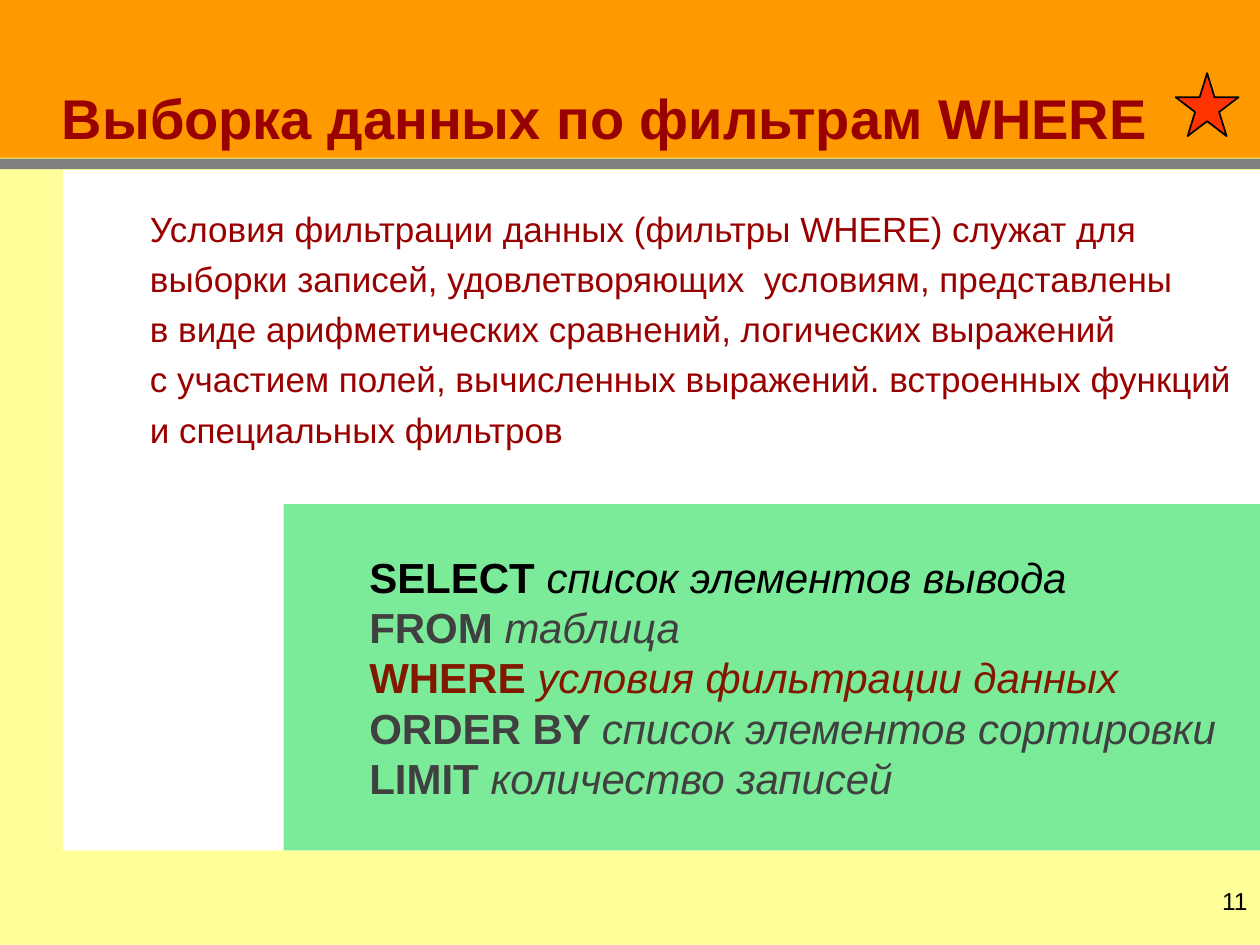
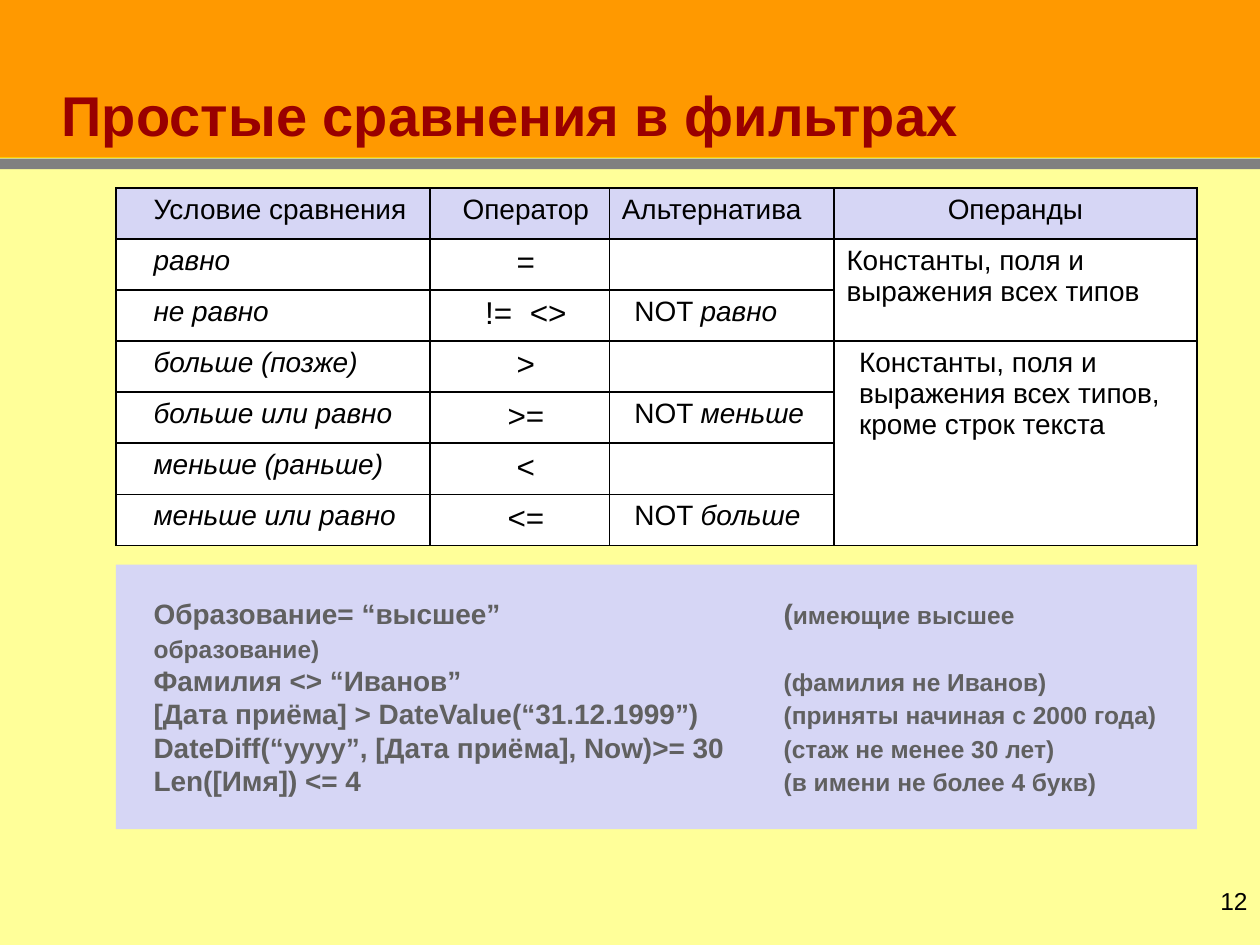
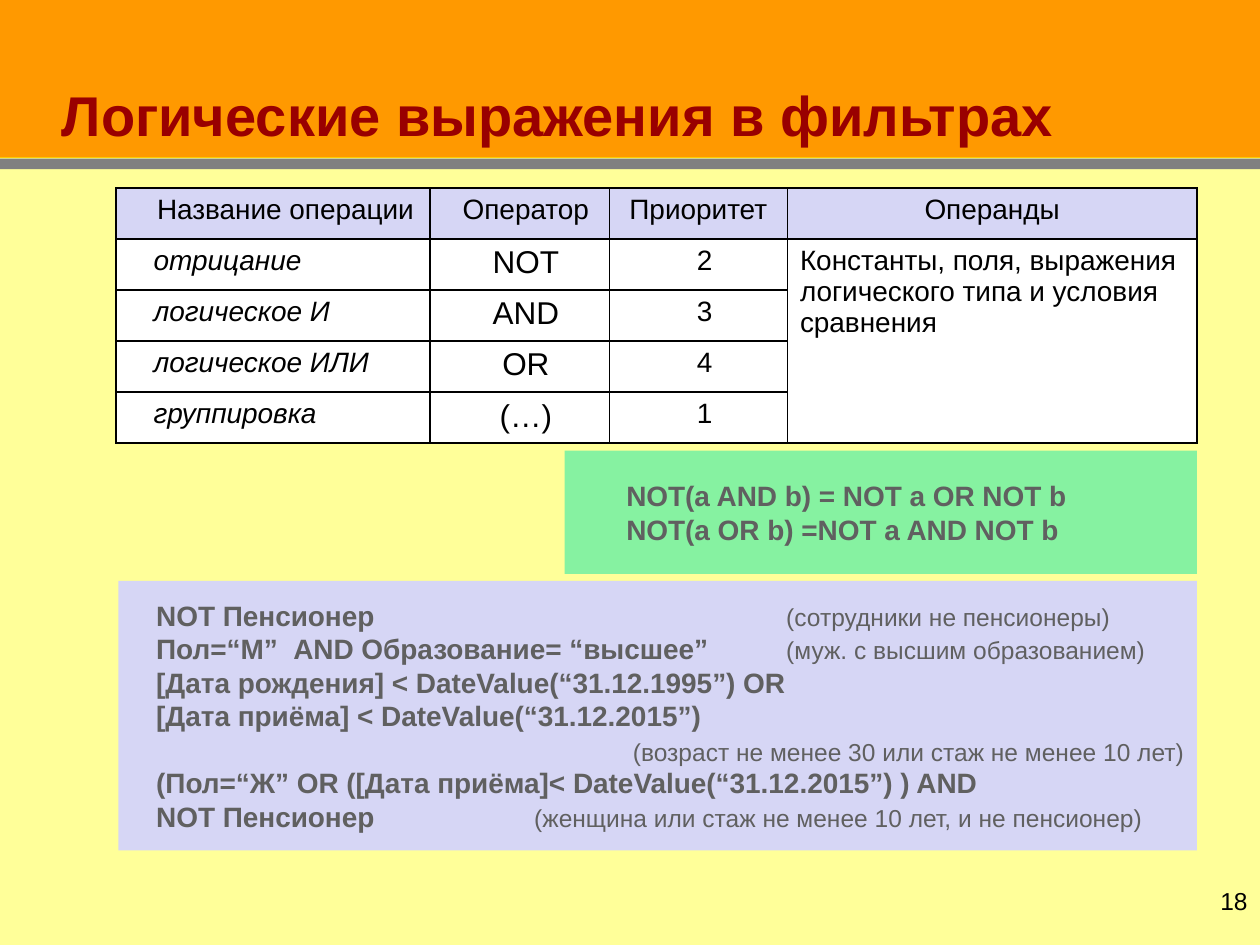
"""Build three slides about SQL filters."""
from dataclasses import dataclass

from lxml.etree import SubElement
from pptx import Presentation
from pptx.dml.color import RGBColor
from pptx.enum.shapes import MSO_CONNECTOR, MSO_SHAPE
from pptx.enum.text import MSO_ANCHOR, MSO_AUTO_SIZE, PP_ALIGN
from pptx.oxml.ns import qn
from pptx.util import Pt


@dataclass(frozen=True)
class Theme:
    """Colours, font and type sizes, in points, shared by the slides."""

    font: str = "Arial"
    backdrop: str = "B2B2B2"
    header: str = "FF9900"
    page: str = "FFFF99"
    rule: str = "808080"
    hairline: str = "FFCC00"
    accent: str = "990000"
    black: str = "000000"
    white: str = "FFFFFF"
    lavender: str = "D6D6F5"
    green: str = "7CEB99"
    light_green: str = "86F2A1"
    star: str = "FF3300"
    clause: str = "404040"
    active_clause: str = "801900"
    example: str = "606060"
    title_size: int = 32
    code_size: int = 24
    body_size: int = 20
    operator_size: int = 18
    text_size: int = 16
    note_size: int = 14
    wide_leading: float = 28.7
    example_leading: float = 19.15


THEME = Theme()
SLIDE_WIDTH, SLIDE_HEIGHT = 720, 540
HEADER_HEIGHT = 90
TABLE_LEFT, TABLE_TOP, ROW_HEIGHT = 66.2, 107.3, 29.2
INSET = 7.2
INDENT = 14.4
NOTE_TAB = 360
BOLD = {"bold": True}
PLAIN = {"bold": False}
ITALIC = {"italic": True}
NOTE = {"size": Pt(THEME.note_size)}
PLAIN_NOTE = {**NOTE, **PLAIN}


def colour(value):
    """Turn a hexadecimal string into a colour."""
    return RGBColor.from_string(value)


def write_paragraph(paragraph, runs, size, text_colour, bold=None, italic=None,
                    alignment=PP_ALIGN.LEFT, leading=None, tab=None):
    """Fill a paragraph with (text, style) runs and set its common font."""
    if tab:
        tab_list = SubElement(paragraph._p.get_or_add_pPr(), qn("a:tabLst"))
        SubElement(tab_list, qn("a:tab"), pos=str(Pt(tab)), algn="l")
    paragraph.alignment = alignment
    paragraph.line_spacing = leading
    font = paragraph.font
    font.name, font.size, font.bold, font.italic = THEME.font, Pt(size), bold, italic
    font.color.rgb = colour(text_colour)
    for text, style in runs:
        for index, line in enumerate(text.split("\n")):
            if index:
                paragraph.add_line_break()
            run = paragraph.add_run()
            run.text = line
            for name, value in style.items():
                setattr(run.font, name, value)


def next_paragraph(frame, index):
    """Return the first paragraph of a frame, or a new one after it."""
    return frame.add_paragraph() if index else frame.paragraphs[0]


def add_block(slide, left, top, width, height, fill, kind=MSO_SHAPE.RECTANGLE):
    """Add a filled shape with neither line nor shadow."""
    shape = slide.shapes.add_shape(kind, Pt(left), Pt(top), Pt(width), Pt(height))
    shape.shadow.inherit = False
    shape.fill.solid()
    shape.fill.fore_color.rgb = colour(fill)
    shape.line.fill.background()
    return shape


def add_panel(slide, box, fill, indent, anchor=MSO_ANCHOR.MIDDLE):
    """Add a block ready for indented text and return its text frame."""
    frame = add_block(slide, *box, fill).text_frame
    frame.word_wrap = True
    frame.vertical_anchor = anchor
    frame.margin_left = Pt(INSET + indent)
    return frame


def add_examples(slide, box, fill, indent, examples):
    """Add a panel of expressions, each given as runs and paragraph options."""
    frame = add_panel(slide, box, fill, indent)
    for index, (runs, options) in enumerate(examples):
        write_paragraph(next_paragraph(frame, index), runs, THEME.text_size, THEME.example,
                        bold=True, leading=Pt(THEME.example_leading), **options)


def build_layout(presentation):
    """Move the shared bands into the title-only layout and return it."""
    presentation.slide_master.background.fill.solid()
    presentation.slide_master.background.fill.fore_color.rgb = colour(THEME.backdrop)
    layout = presentation.slide_layouts[5]
    for placeholder in list(layout.placeholders):
        if placeholder.placeholder_format.idx:
            layout.shapes.element.remove(placeholder.element)
    return layout


def add_bands(slide, layout):
    """Draw the bands once and hand them over to the layout."""
    hairline = slide.shapes.add_connector(
        MSO_CONNECTOR.STRAIGHT, 0, Pt(HEADER_HEIGHT), Pt(SLIDE_WIDTH), Pt(HEADER_HEIGHT))
    hairline.line.color.rgb = colour(THEME.hairline)
    hairline.line.width = Pt(1)
    SubElement(hairline.element.spPr, qn("a:effectLst"))
    bands = [
        add_block(slide, 0, 0, SLIDE_WIDTH, HEADER_HEIGHT, THEME.header),
        add_block(slide, 0, HEADER_HEIGHT, SLIDE_WIDTH, SLIDE_HEIGHT - HEADER_HEIGHT, THEME.page),
        add_block(slide, 0, 90.7, SLIDE_WIDTH, 6, THEME.rule),
        hairline,
    ]
    for position, band in enumerate(bands, start=2):
        layout.shapes.element.insert(position, band.element)


def add_titled_slide(presentation, layout, title, number, title_top=4.3):
    """Add a slide with its title and its number."""
    slide = presentation.slides.add_slide(layout)
    if len(presentation.slides) == 1:
        add_bands(slide, layout)
    shape = slide.shapes.title
    shape.left, shape.top = Pt(0), Pt(title_top)
    shape.width, shape.height = Pt(SLIDE_WIDTH), Pt(84.2)
    shape.fill.solid()
    shape.fill.fore_color.rgb = colour(THEME.header)
    frame = shape.text_frame
    frame.auto_size = MSO_AUTO_SIZE.NONE
    frame.vertical_anchor = MSO_ANCHOR.BOTTOM
    frame.margin_left = Pt(INSET + 28.1)
    write_paragraph(frame.paragraphs[0], [(title, {})], THEME.title_size, THEME.accent,
                    bold=True, leading=0.9)
    number_box = slide.shapes.add_textbox(Pt(645.8), Pt(502.6), Pt(74.2), Pt(37.4))
    number_box.text_frame.word_wrap = True
    write_paragraph(number_box.text_frame.paragraphs[0], [(str(number), {})],
                    THEME.note_size, THEME.black, alignment=PP_ALIGN.RIGHT)
    return slide


def format_cell(cell, fill):
    """Give a cell its fill and four black borders."""
    properties = cell._tc.get_or_add_tcPr()
    for side in ("lnL", "lnR", "lnT", "lnB"):
        border = SubElement(properties, qn(f"a:{side}"), w=str(Pt(1)))
        solid = SubElement(border, qn("a:solidFill"))
        SubElement(solid, qn("a:srgbClr"), val=THEME.black)
    cell.fill.solid()
    cell.fill.fore_color.rgb = colour(fill)


def write_cell(cell, runs, indent=0, size=THEME.text_size, **options):
    """Write indented runs into a cell."""
    cell.margin_left = Pt(INSET + indent)
    write_paragraph(cell.text_frame.paragraphs[0], runs, size, THEME.black, **options)


def add_operator_table(slide, widths, headers, header_alignments, rows, third_alignment, operands):
    """Add a table of operators whose last column merges rows by operand type."""
    row_count = len(rows) + 1
    table = slide.shapes.add_table(row_count, len(widths), Pt(TABLE_LEFT), Pt(TABLE_TOP),
                                   Pt(sum(widths)), Pt(row_count * ROW_HEIGHT)).table
    table.first_row = table.horz_banding = False
    for column, width in zip(table.columns, widths):
        column.width = Pt(width)
    for index, row in enumerate(table.rows):
        row.height = Pt(ROW_HEIGHT)
        for cell in row.cells:
            format_cell(cell, THEME.white if index else THEME.lavender)
    header_indents = (INDENT, INDENT / 2, 0, 0)
    for index, header in enumerate(headers):
        write_cell(table.cell(0, index), [(header, {})], header_indents[index],
                   alignment=header_alignments[index])
    for index, (name, operator, third_runs) in enumerate(rows, start=1):
        write_cell(table.cell(index, 0), [(name, {})], INDENT, italic=True)
        write_cell(table.cell(index, 1), [(operator, {})], INDENT / 2, THEME.operator_size,
                   alignment=PP_ALIGN.CENTER)
        if third_runs:
            write_cell(table.cell(index, 2), third_runs, INDENT / 2, alignment=third_alignment)
    for first, last, text, indent in operands:
        table.cell(first, 3).merge(table.cell(last, 3))
        write_cell(table.cell(first, 3), [(text, {})], indent)


def build_where_slide(presentation, layout):
    """Explain the WHERE clause and its place in a query."""
    slide = add_titled_slide(presentation, layout, "Выборка данных по фильтрам WHERE", 11, 5.8)
    body = add_panel(slide, (36, 97.2, 684, 388.8), THEME.white, 42.5, MSO_ANCHOR.TOP)
    body.margin_top = Pt(16.6)
    explanation = (
        "Условия фильтрации данных (фильтры WHERE) служат для выборки записей, "
        "удовлетворяющих  условиям, представлены \n"
        "в виде арифметических сравнений, логических выражений \n"
        "с участием полей, вычисленных выражений. встроенных функций и специальных фильтров")
    write_paragraph(body.paragraphs[0], [(explanation, {})], THEME.body_size, THEME.accent,
                    leading=Pt(THEME.wide_leading))
    query = add_panel(slide, (162, 288, 558, 198), THEME.green, 41.8)
    clauses = [
        ("SELECT ", "список элементов вывода", THEME.black),
        ("FROM ", "таблица", THEME.clause),
        ("WHERE ", "условия фильтрации данных", THEME.active_clause),
        ("ORDER BY ", "список элементов сортировки", THEME.clause),
        ("LIMIT ", "количество записей", THEME.clause),
    ]
    for index, (keyword, argument, text_colour) in enumerate(clauses):
        write_paragraph(next_paragraph(query, index), [(keyword, BOLD), (argument, ITALIC)],
                        THEME.code_size, text_colour, leading=Pt(THEME.wide_leading))
    star = add_block(slide, 671.8, 41.8, 36, 36, THEME.star, MSO_SHAPE.STAR_5_POINT)
    star.line.color.rgb = colour(THEME.black)
    star.line.width = Pt(1)


def build_comparison_slide(presentation, layout):
    """List the comparison operators with examples."""
    slide = add_titled_slide(presentation, layout, "Простые сравнения в фильтрах", 12)
    rows = [
        ("равно", "=", None),
        ("не равно", "!=  <>", "равно"),
        ("больше (позже)", ">", None),
        ("больше или равно", ">=", "меньше"),
        ("меньше (раньше)", "<", None),
        ("меньше или равно", "<=", "больше"),
    ]
    add_operator_table(
        slide, (179.5, 102.5, 128.4, 207.4),
        ("Условие сравнения", "Оператор", "Альтернатива", "Операнды"),
        (PP_ALIGN.LEFT, PP_ALIGN.CENTER, PP_ALIGN.LEFT, PP_ALIGN.CENTER),
        [(name, operator, negated and [("NOT ", {}), (negated, ITALIC)])
         for name, operator, negated in rows],
        PP_ALIGN.LEFT,
        [(1, 2, "Константы, поля и выражения всех типов", 0),
         (3, 6, "Константы, поля и выражения всех типов, кроме строк текста", INDENT / 2)])
    examples = [
        ("Образование= “высшее”\t(", "имеющие высшее образование)"),
        ("Фамилия <> “Иванов”\t", "(фамилия не Иванов)"),
        ("[Дата приёма] > DateValue(“31.12.1999”)\t", "(приняты начиная c 2000 года)"),
        ("DateDiff(“yyyy”, [Дата приёма], Now)>= 30\t", "(стаж не менее 30 лет)"),
        ("Len([Имя]) <= 4\t", "(в имени не более 4 букв)"),
    ]
    add_examples(slide, (TABLE_LEFT, 322.6, 617.8, 151.2), THEME.lavender, INDENT,
                 [([(expression, {}), (note, NOTE)], {"tab": NOTE_TAB})
                  for expression, note in examples])


def build_logic_slide(presentation, layout):
    """List the logical operators with examples."""
    slide = add_titled_slide(presentation, layout, "Логические выражения в фильтрах", 18)
    rows = [
        ("отрицание", "NOT", "2"),
        ("логическое И", "AND", "3"),
        ("логическое ИЛИ", "OR", "4"),
        ("группировка", "(…)", "1"),
    ]
    add_operator_table(
        slide, (179.5, 102.5, 101.8, 234),
        ("Название операции", "Оператор", "Приоритет", "Операнды"),
        (PP_ALIGN.CENTER,) * 4,
        [(name, operator, [(priority, {})]) for name, operator, priority in rows],
        PP_ALIGN.CENTER,
        [(1, 4, "Константы, поля, выражения логического типа и условия сравнения", 0)])
    add_examples(slide, (67.7, 332, 616.3, 154), THEME.lavender, INDENT, [
        ([("NOT Пенсионер\t", {}), ("(сотрудники не пенсионеры)", PLAIN_NOTE)],
         {"tab": NOTE_TAB}),
        ([("Пол=“М”  AND Образование= “высшее”\t", {}),
          ("(муж. с высшим образованием)", PLAIN_NOTE)], {"tab": NOTE_TAB}),
        ([("[Дата рождения] < DateValue(“31.12.1995”) OR \n"
           "[Дата приёма] < DateValue(“31.12.2015”)", {})], {}),
        ([("(возраст не менее 30 или стаж не менее 10 лет)", PLAIN_NOTE)],
         {"alignment": PP_ALIGN.RIGHT}),
        ([("(Пол=“Ж” OR ([Дата приёма]< DateValue(“31.12.2015”) ) AND \nNOT Пенсионер\t", {}),
          ("(женщина или стаж не менее 10 лет, и не пенсионер)", PLAIN_NOTE)], {"tab": 216}),
    ])
    laws = ("NOT(a AND b) = NOT a OR NOT b", "NOT(a OR b) =NOT a AND NOT b")
    add_examples(slide, (322.6, 257.5, 361.4, 70.5), THEME.light_green, 28.1,
                 [([(law, {})], {}) for law in laws])


def main():
    """Build and save the presentation."""
    presentation = Presentation()
    presentation.slide_width, presentation.slide_height = Pt(SLIDE_WIDTH), Pt(SLIDE_HEIGHT)
    layout = build_layout(presentation)
    build_where_slide(presentation, layout)
    build_comparison_slide(presentation, layout)
    build_logic_slide(presentation, layout)
    presentation.save("out.pptx")


if __name__ == "__main__":
    main()
